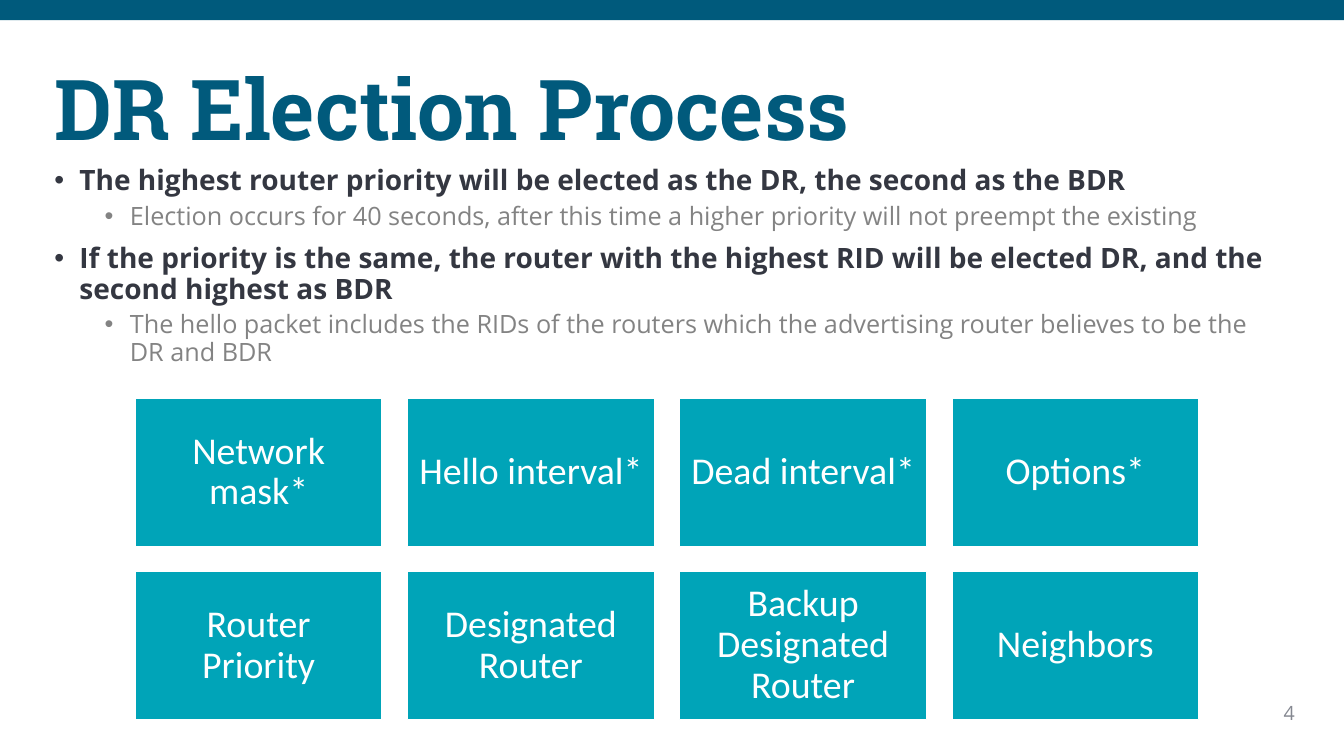
from dataclasses import dataclass

from pptx import Presentation
from pptx import util as u
from pptx.dml.color import RGBColor
from pptx.enum import shapes, text
from pptx.oxml.xmlchemy import OxmlElement

TITLE = "DR Election Process"
PAGE_NUMBER = "4"
BULLETS = [
    (0, "The highest router priority will be elected as the DR, the second as the BDR"),
    (1, "Election occurs for 40 seconds, after this time a higher priority will not preempt the existing"),
    (0, "If the priority is the same, the router with the highest RID will be elected DR, and the second highest as BDR"),
    (1, "The hello packet includes the RIDs of the routers which the advertising router believes to be the DR and BDR"),
]
HELLO_FIELDS = [
    ["Network mask*", "Hello interval*", "Dead interval*", "Options*"],
    ["Router Priority", "Designated Router", "Backup Designated Router", "Neighbors"],
]


@dataclass(frozen=True)
class Theme:
    navy: str = "005A7C"
    title: str = "015A7C"
    teal: str = "00A4B8"
    white: str = "FFFFFF"
    dark: str = "343741"
    gray: str = "838383"
    number: str = "858891"
    heading_font: str = "Roboto Slab"
    body_font: str = "Open Sans"
    field_font: str = "Calibri"
    title_size: int = 60
    point_size: int = 20
    detail_size: int = 18
    field_size: int = 27
    number_size: int = 14


THEME = Theme()
LEFT, MIDDLE = text.MSO_ANCHOR.TOP, text.MSO_ANCHOR.MIDDLE
FIELD_LEFT, FIELD_TOP = 1.34, 3.95
FIELD_WIDTH, FIELD_HEIGHT = 2.45, 1.47
FIELD_GAP = 0.25
FIELD_INSET = 0.11


def write(paragraph, content, *, size, font, color, bold=False,
          align=text.PP_ALIGN.LEFT, spacing=0.9, before=0):
    paragraph.alignment = align
    paragraph.line_spacing = spacing
    paragraph.space_before = u.Pt(before)
    run = paragraph.add_run()
    run.text = content
    run.font.size = u.Pt(size)
    run.font.name = font
    run.font.bold = bold
    run.font.color.rgb = RGBColor.from_string(color)


def add_text_frame(slide, left, top, width, height, anchor=text.MSO_ANCHOR.TOP):
    box = slide.shapes.add_textbox(*map(u.Inches, (left, top, width, height)))
    frame = box.text_frame
    frame.word_wrap = True
    frame.vertical_anchor = anchor
    return frame


def add_rectangle(slide, left, top, width, height, fill, line=None):
    shape = slide.shapes.add_shape(
        shapes.MSO_SHAPE.RECTANGLE, *map(u.Inches, (left, top, width, height)))
    shape.shadow.inherit = False
    shape.fill.solid()
    shape.fill.fore_color.rgb = RGBColor.from_string(fill)
    if line:
        shape.line.color.rgb = RGBColor.from_string(line)
        shape.line.width = u.Pt(1)
    else:
        shape.line.fill.background()
    return shape


def add_bullet(paragraph, level):
    paragraph.level = level
    properties = paragraph._p.get_or_add_pPr()
    properties.set("marL", str(u.Inches(0.25 + 0.5 * level)))
    properties.set("indent", str(u.Inches(-0.25)))
    font = OxmlElement("a:buFont")
    font.set("typeface", "Arial")
    bullet = OxmlElement("a:buChar")
    bullet.set("char", "•")
    properties.extend([font, bullet])


def add_bullets(slide):
    frame = add_text_frame(slide, 0.44, 1.6, 12.36, 2.35)
    for index, (level, content) in enumerate(BULLETS):
        paragraph = frame.add_paragraph() if index else frame.paragraphs[0]
        write(paragraph, content, font=THEME.body_font,
              size=THEME.detail_size if level else THEME.point_size,
              color=THEME.gray if level else THEME.dark,
              bold=level == 0, before=5 if level else 10)
        add_bullet(paragraph, level)


def add_field(slide, row, column, content):
    shape = add_rectangle(
        slide,
        FIELD_LEFT + column * (FIELD_WIDTH + FIELD_GAP),
        FIELD_TOP + row * (FIELD_HEIGHT + FIELD_GAP),
        FIELD_WIDTH, FIELD_HEIGHT, THEME.teal, THEME.white)
    frame = shape.text_frame
    frame.word_wrap = True
    frame.vertical_anchor = MIDDLE
    frame.margin_left = frame.margin_right = u.Inches(FIELD_INSET)
    frame.margin_top = frame.margin_bottom = u.Inches(FIELD_INSET)
    write(frame.paragraphs[0], content, size=THEME.field_size,
          font=THEME.field_font, color=THEME.white, align=text.PP_ALIGN.CENTER)


def main():
    presentation = Presentation()
    presentation.slide_width = u.Inches(13.33)
    presentation.slide_height = u.Inches(7.5)
    slide = presentation.slides.add_slide(presentation.slide_layouts[6])

    add_rectangle(slide, 0, 0, 13.33, 0.2, THEME.navy)
    number = add_text_frame(slide, 12.3, 6.9, 0.64, 0.34)
    write(number.paragraphs[0], PAGE_NUMBER, size=THEME.number_size,
          font=THEME.body_font, color=THEME.number,
          align=text.PP_ALIGN.RIGHT, spacing=1.0)
    title = add_text_frame(slide, 0.44, 0.4, 12.73, 1.45, MIDDLE)
    write(title.paragraphs[0], TITLE, size=THEME.title_size,
          font=THEME.heading_font, color=THEME.title, bold=True)
    add_bullets(slide)
    for row, fields in enumerate(HELLO_FIELDS):
        for column, content in enumerate(fields):
            add_field(slide, row, column, content)

    presentation.save("out.pptx")


if __name__ == "__main__":
    main()
